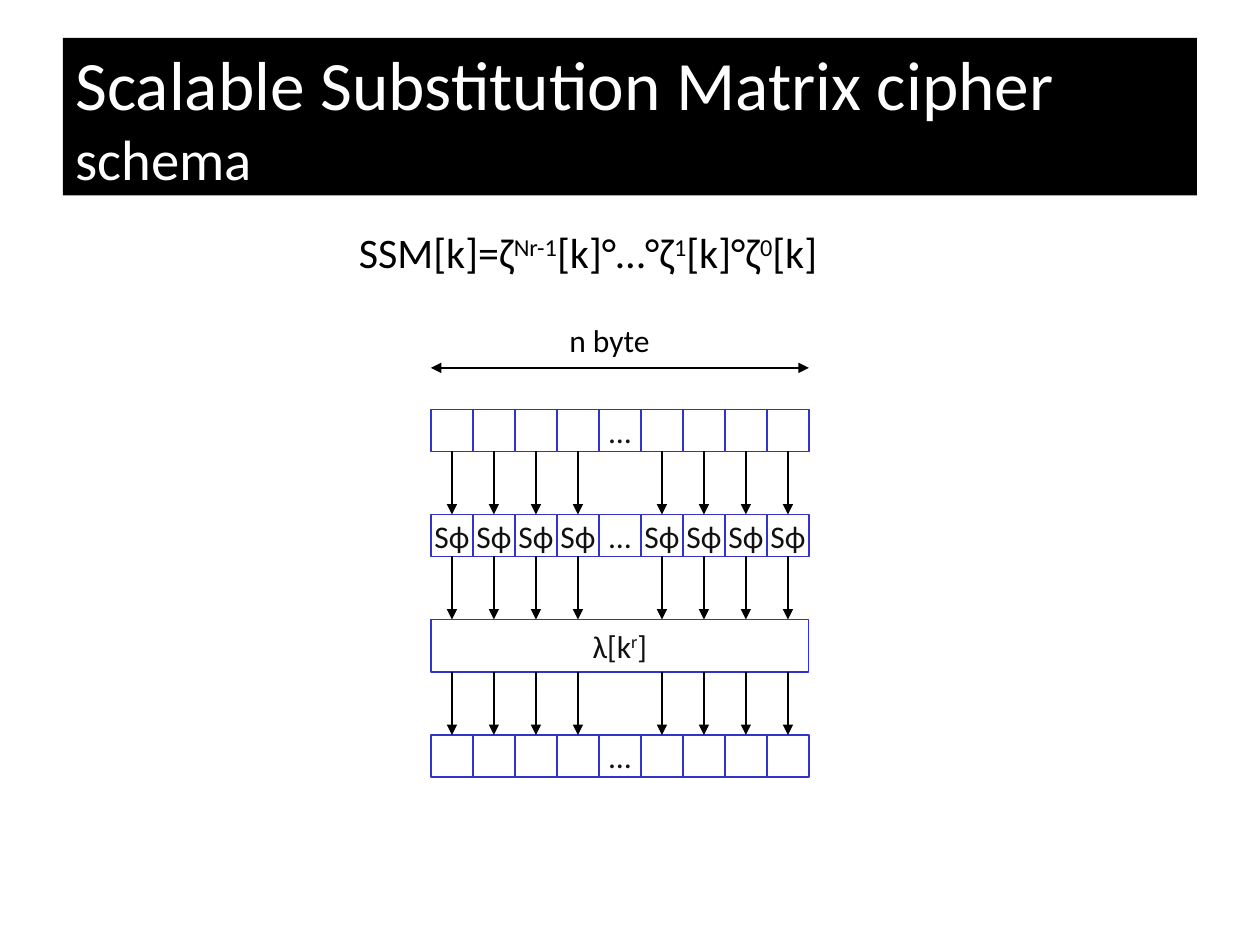
from dataclasses import dataclass

from lxml.etree import SubElement
from pptx import Presentation
from pptx.dml.color import RGBColor
from pptx.enum.shapes import MSO_CONNECTOR, MSO_SHAPE
from pptx.enum.text import MSO_ANCHOR as Anchor, MSO_AUTO_SIZE as AutoSize, PP_ALIGN as Align
from pptx.oxml.ns import qn
from pptx.util import Inches, Pt


@dataclass(frozen=True)
class Theme:
    """Colours, font and type sizes of the slide."""
    black: RGBColor = RGBColor(0, 0, 0)
    white: RGBColor = RGBColor(255, 255, 255)
    ink: RGBColor = RGBColor(0x11, 0x11, 0x11)
    outline: RGBColor = RGBColor(0x33, 0x33, 0xCC)
    font: str = "Calibri"
    title: float = 39.6
    subtitle: float = 32.4
    formula: float = 24
    label: float = 18


THEME = Theme()
COLUMNS = 9
ELLIPSIS = COLUMNS // 2
CELL = 1 / 3
GAP = 0.5
LAYER_HEIGHT = 5 / 12


def write(paragraph, text, size, color, raised=False):
    """Append a run, raised as a superscript if asked."""
    run = paragraph.add_run()
    run.text = text
    for key, value in {"name": THEME.font, "size": Pt(size)}.items():
        setattr(run.font, key, value)
    run.font.color.rgb = color
    if raised:
        run.font._element.set("baseline", "30000")


def write_powers(paragraph, parts, size, color):
    """Write parts that alternate between base text and superscript."""
    for index, part in enumerate(parts):
        write(paragraph, part, size, color, raised=index % 2 == 1)


def add_box(slide, left, top, width, height, fill, line_width=None):
    """Draw a rectangle, outlined if a line width is given."""
    box = slide.shapes.add_shape(MSO_SHAPE.RECTANGLE, *map(Inches, (left, top, width, height)))
    box.shadow.inherit = False
    box.fill.solid()
    box.fill.fore_color.rgb = fill
    if line_width:
        box.line.color.rgb = THEME.outline
        box.line.width = Pt(line_width)
    else:
        box.line.fill.background()
    box.text_frame.vertical_anchor = Anchor.MIDDLE
    return box


def add_block(slide, left, top, width, height, parts, line_width):
    """Draw an outlined cipher block with a centred label."""
    block = add_box(slide, left, top, width, height, THEME.white, line_width)
    block.text_frame.word_wrap = False
    paragraph = block.text_frame.paragraphs[0]
    paragraph.alignment = Align.CENTER
    write_powers(paragraph, parts, THEME.label, THEME.ink)
    return block


def add_arrow(slide, start, end, ends=("tailEnd",)):
    """Draw a black line with a triangle at each of the named ends."""
    arrow = slide.shapes.add_connector(MSO_CONNECTOR.STRAIGHT, *map(Inches, (*start, *end)))
    arrow.line.color.rgb = THEME.black
    arrow.line.width = Pt(0.75)
    for tag in ends:
        SubElement(arrow.line._get_or_add_ln(), qn(f"a:{tag}"), type="triangle")
    SubElement(arrow._element.spPr, qn("a:effectLst"))
    return arrow


def add_title(slide, left, top, width, height):
    """Draw the black title band with its two lines."""
    band = add_box(slide, left, top, width, height, THEME.black)
    paragraph = band.text_frame.paragraphs[0]
    paragraph.alignment = Align.LEFT
    write(paragraph, "Scalable Substitution Matrix cipher", THEME.title, THEME.white)
    paragraph.add_line_break()
    write(paragraph, "schema", THEME.subtitle, THEME.white)


def add_caption(slide, left, top, width, height, parts, size):
    """Place free text with superscripts in a box."""
    frame = slide.shapes.add_textbox(*map(Inches, (left, top, width, height))).text_frame
    for key, value in {"word_wrap": True, "auto_size": AutoSize.SHAPE_TO_FIT_TEXT}.items():
        setattr(frame, key, value)
    write_powers(frame.paragraphs[0], parts, size, THEME.black)


def add_byte_row(slide, left, top, label=""):
    """Draw a row of byte cells with an ellipsis in the middle."""
    return [
        add_block(slide, left + column * CELL, top, CELL, CELL,
                  ["…" if column == ELLIPSIS else label], 1)
        for column in range(COLUMNS)
    ]


def add_flow(slide, left, top, sources=None, targets=None):
    """Draw the arrows across one gap, joined to the cells above and below."""
    for column in range(COLUMNS):
        if column == ELLIPSIS:
            continue
        x = left + (column + 0.5) * CELL
        arrow = add_arrow(slide, (x, top), (x, top + GAP))
        if sources:
            arrow.begin_connect(sources[column], 2)
        if targets:
            arrow.end_connect(targets[column], 0)


def add_round_schema(slide, left, top):
    """Draw one cipher round from input bytes to output bytes."""
    substitution_top = top + CELL + GAP
    layer_top = substitution_top + CELL + GAP
    output_top = layer_top + LAYER_HEIGHT + GAP
    inputs = add_byte_row(slide, left, top)
    substitutions = add_byte_row(slide, left, substitution_top, "Sϕ")
    outputs = add_byte_row(slide, left, output_top)
    add_block(slide, left, layer_top, COLUMNS * CELL, LAYER_HEIGHT, ["λ[k", "r", "]"], 0.75)
    add_flow(slide, left, top + CELL, inputs, substitutions)
    add_flow(slide, left, substitution_top + CELL, sources=substitutions)
    add_flow(slide, left, layer_top + LAYER_HEIGHT, targets=outputs)


def add_width_measure(slide, left, top, width):
    """Draw the block width as a double arrow under its label."""
    add_arrow(slide, (left, top), (left + width, top), ("headEnd", "tailEnd"))
    add_caption(slide, left + 1, top - 0.42, 1.5, 0.4, ["n byte"], THEME.label)


def main():
    """Build and save the slide."""
    deck = Presentation()
    deck.slide_width, deck.slide_height = Inches(10), Inches(7.5)
    slide = deck.slides.add_slide(deck.slide_layouts[6])
    schema_left = 3.42
    add_title(slide, 0.5, 0.3, 9, 1.25)
    add_round_schema(slide, schema_left, 3.25)
    add_width_measure(slide, schema_left, 2.92, COLUMNS * CELL)
    formula = ["SSM[k]=ζ", "Nr-1", "[k]°…°ζ", "1", "[k]°ζ", "0", "[k]"]
    add_caption(slide, 2.75, 1.75, 4.92, 0.5, formula, THEME.formula)
    deck.save("out.pptx")


if __name__ == "__main__":
    main()
